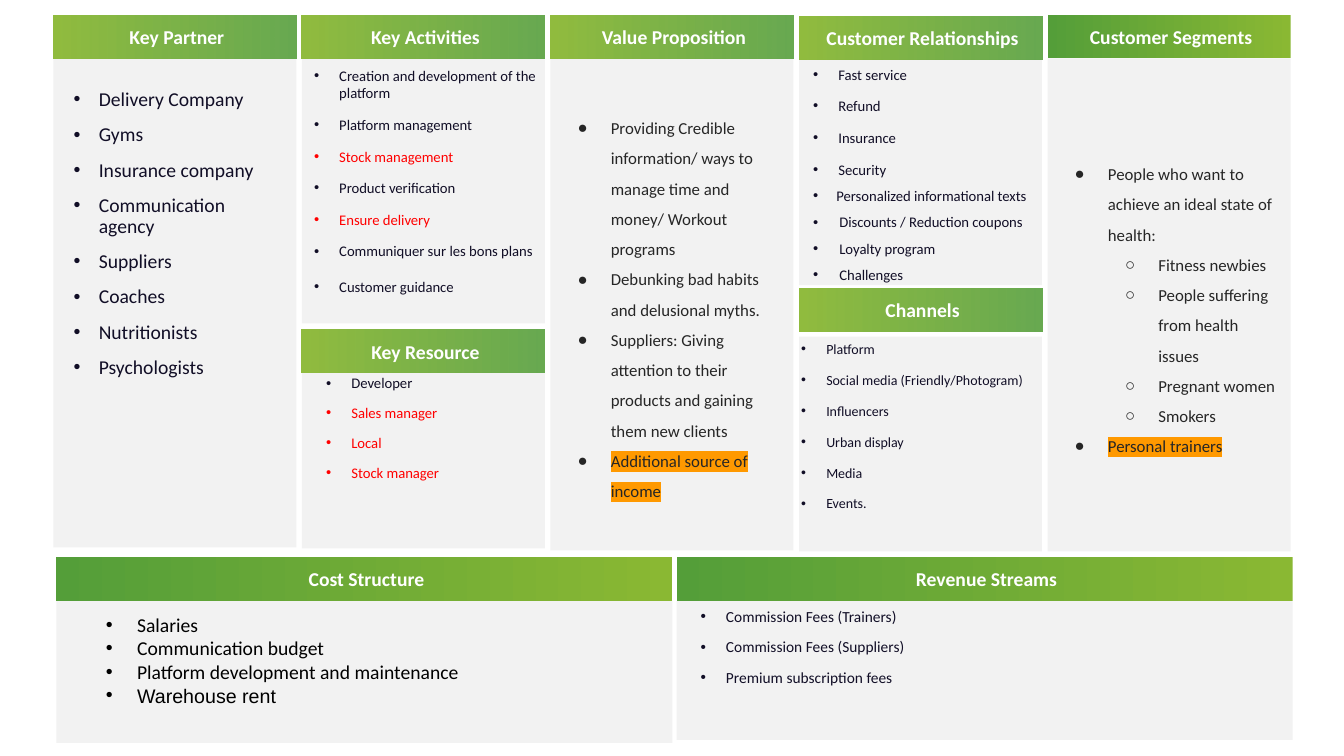
from lxml import etree
from pptx import Presentation
from pptx import util as u
from pptx.dml.color import RGBColor
from pptx.enum import shapes, text
from pptx.oxml.ns import qn

WHITE = RGBColor(0xFF, 0xFF, 0xFF)
BLACK = RGBColor(0, 0, 0)
PANEL = RGBColor(0xF2, 0xF2, 0xF2)
LIME = RGBColor(0x8A, 0xB8, 0x33)
GREEN = RGBColor(0x54, 0x9E, 0x39)
NAVY = RGBColor(0x11, 0x0E, 0x26)
GRAY = RGBColor(0x26, 0x26, 0x26)
RED = RGBColor(0xFF, 0, 0)
ORANGE = RGBColor(0xFF, 0x99, 0x00)

HEADER_H = 0.43
COLUMN_W = 2.41
COLUMN_X = [0.53 + 2.465 * i for i in range(5)]
TOP = 0.15
WIDE_W = 6.11
WIDE_Y = 5.53


def add_rect(s, x, y, w, h):
    sp = s.shapes.add_shape(shapes.MSO_SHAPE.RECTANGLE, *map(u.Inches, (x, y, w, h)))
    sp.shadow.inherit = False
    sp.line.fill.background()
    sp.text_frame.word_wrap = True
    sp.text_frame.vertical_anchor = text.MSO_ANCHOR.MIDDLE
    return sp


def add_header(s, x, y, w, title, reverse):
    sp = add_rect(s, x, y, w, HEADER_H)
    sp.fill.gradient()
    sp.fill.gradient_angle = 180 if reverse else 0
    for stop, color, alpha in zip(sp.fill.gradient_stops, (LIME, GREEN), (94, 88)):
        stop.color.rgb = color
        if not reverse:
            for clr in sp._element.spPr.iter(qn("a:srgbClr")):
                if clr.get("val") == str(color):
                    etree.SubElement(clr, qn("a:alpha"), val=str(alpha * 1000))
    tf = sp.text_frame
    tf.margin_left, tf.margin_right = u.Inches(0.12), u.Inches(0.08)
    tf.text = title
    p = tf.paragraphs[0]
    p.alignment = text.PP_ALIGN.CENTER
    f = p.runs[0].font
    f.name, f.size, f.bold = "Calibri", u.Pt(14), True
    f.color.rgb = WHITE


def add_block(s, title, x, y, w, h, reverse=False, gap=0):
    """Draw a header with its panel below and return the panel's text frame."""
    body_y = y + HEADER_H + gap
    panel = add_rect(s, x, body_y, w, y + h - body_y)
    panel.fill.solid()
    panel.fill.fore_color.rgb = PANEL
    add_header(s, x, y, w, title, reverse)
    return panel.text_frame


def add_list_box(s, x, y, w, h):
    tf = s.shapes.add_textbox(*map(u.Inches, (x, y, w, h))).text_frame
    tf.word_wrap = True
    tf.margin_left = tf.margin_right = tf.margin_top = tf.margin_bottom = 0
    return tf


def set_bullet(p, char, color, left, hang):
    pPr = p._p.get_or_add_pPr()
    pPr.set("marL", str(u.Inches(left)))
    pPr.set("indent", str(-u.Inches(hang)))
    clr = etree.SubElement(pPr, qn("a:buClr"))
    etree.SubElement(clr, qn("a:srgbClr"), val=str(color))
    etree.SubElement(pPr, qn("a:buFont"), typeface="Arial")
    etree.SubElement(pPr, qn("a:buChar"), char=char)


def highlight(r):
    mark = etree.Element(qn("a:highlight"))
    etree.SubElement(mark, qn("a:srgbClr"), val=str(ORANGE))
    r._r.rPr.find(qn("a:solidFill")).addnext(mark)


def add_bullets(tf, items, size, color=NAVY, line=1.0, before=0, left=0.25,
                hang=0.25, char="•", level=0, font="Calibri", red=(), marked=()):
    """Append items to tf; those in red or marked get that emphasis."""
    for item in items:
        first = not tf.text
        p = tf.paragraphs[0] if first else tf.add_paragraph()
        p.text = item
        p.level = level
        p.alignment = text.PP_ALIGN.LEFT
        p.line_spacing = line
        p.space_before = u.Pt(0 if first else before)
        item_color = RED if item in red else color
        set_bullet(p, char, item_color, left, hang)
        r = p.runs[0]
        r.font.name, r.font.size = font, u.Pt(size)
        r.font.color.rgb = item_color
        if item in marked:
            highlight(r)


def key_partner(s, x, y, w, h):
    add_block(s, "Key Partner", x, y, w, h)
    tf = add_list_box(s, x + 0.2, y + 0.74, 2.02, 3.21)
    add_bullets(tf, ["Delivery Company", "Gyms", "Insurance company",
                     "Communication agency", "Suppliers", "Coaches",
                     "Nutritionists", "Psychologists"], 14, line=0.9, before=10)


def key_activities(s, x, y, w, h):
    add_block(s, "Key Activities", x, y, w, h)
    tf = add_list_box(s, x + 0.12, y + 0.51, 2.24, 2.49)
    add_bullets(tf, ["Creation and development of the platform", "Platform management",
                     "Stock management", "Product verification", "Ensure delivery",
                     "Communiquer sur les bons plans"], 10.5, before=10,
                red=("Stock management", "Ensure delivery"))
    add_bullets(tf, ["Customer guidance"], 10.5, before=13)


def key_resource(s, x, y, w, h):
    add_block(s, "Key Resource", x, y, w, h)
    tf = add_list_box(s, x + 0.24, y + 0.46, 2.02, 1.06)
    staff = ["Developer", "Sales manager", "Local", "Stock manager"]
    add_bullets(tf, staff, 10.5, line=0.9, before=10, red=staff[1:])


def value_proposition(s, x, y, w, h):
    tf = add_block(s, "Value Proposition", x, y, w, h)
    add_bullets(tf, ["Providing Credible information/ ways to manage time and money/ "
                     "Workout programs",
                     "Debunking bad habits and delusional myths.",
                     "Suppliers: Giving attention to their products and gaining them "
                     "new clients",
                     "Additional source of income"], 12, GRAY, 1.5, left=0.5, hang=0.33,
                char="●", marked=("Additional source of income",))


def customer_relationships(s, x, y, w, h):
    add_block(s, "Customer Relationships", x, y, w, h)
    tf = add_list_box(s, x + 0.14, y + 0.49, 2.52, 2.16)
    add_bullets(tf, ["Fast service", "Refund", "Insurance", "Security"], 10.5, before=10)
    add_bullets(tf, ["Personalized informational texts"], 10.5, line=1.5,
                left=0.23, hang=0.23)
    add_bullets(tf, ["Discounts / Reduction coupons", "Loyalty program", "Challenges"],
                10.5, line=1.5, left=0.26, hang=0.26)


def channels(s, x, y, w, h):
    add_block(s, "Channels", x, y, w, h, gap=0.05)
    tf = add_list_box(s, x + 0.02, y + 0.52, 2.48, 1.88)
    add_bullets(tf, ["Platform", "Social media (Friendly/Photogram)", "Influencers",
                     "Urban display", "Media", "Events."], 10, before=10)


def customer_segments(s, x, y, w, h):
    tf = add_block(s, "Customer Segments", x, y, w, h, reverse=True)
    style = dict(size=12, color=GRAY, line=1.5, hang=0.33)
    add_bullets(tf, ["People who want to achieve an ideal state of health:"],
                left=0.5, char="●", **style)
    add_bullets(tf, ["Fitness newbies", "People suffering from health issues",
                     "Pregnant women", "Smokers"], left=1, char="○", level=1, **style)
    add_bullets(tf, ["Personal trainers"], left=0.5, char="●",
                marked=("Personal trainers",), **style)


def cost_structure(s, x, y, w, h):
    add_block(s, "Cost Structure", x, y, w, h, reverse=True)
    tf = add_list_box(s, x + 0.49, y + 0.55, 5.5, 0.94)
    style = dict(size=14, color=BLACK, left=0.31, hang=0.31)
    add_bullets(tf, ["Salaries", "Communication budget",
                     "Platform development and maintenance"], **style)
    add_bullets(tf, ["Warehouse rent"], font="Arial", **style)


def revenue_streams(s, x, y, w, h):
    add_block(s, "Revenue Streams", x, y, w, h, reverse=True)
    tf = add_list_box(s, x + 0.24, y + 0.51, 4.68, 1.13)
    add_bullets(tf, ["Commission Fees (Trainers)", "Commission Fees (Suppliers)",
                     "Premium subscription fees"], 11, line=0.9, before=10)


def main():
    prs = Presentation()
    prs.slide_width, prs.slide_height = u.Inches(13.33), u.Inches(7.5)
    s = prs.slides.add_slide(prs.slide_layouts[6])
    partner_x, activity_x, value_x, customer_x, segment_x = COLUMN_X
    key_partner(s, partner_x, TOP, COLUMN_W, 5.28)
    key_activities(s, activity_x, TOP, COLUMN_W, 3.06)
    key_resource(s, activity_x, 3.27, COLUMN_W, 2.17)
    value_proposition(s, value_x, TOP, COLUMN_W, 5.31)
    customer_relationships(s, customer_x, TOP + 0.01, COLUMN_W, 2.67)
    channels(s, customer_x, 2.86, COLUMN_W, 2.61)
    customer_segments(s, segment_x, TOP, COLUMN_W, 5.32)
    cost_structure(s, 0.56, WIDE_Y, WIDE_W, 1.84)
    revenue_streams(s, 6.71, WIDE_Y, WIDE_W, 1.81)
    prs.save("out.pptx")


if __name__ == "__main__":
    main()
